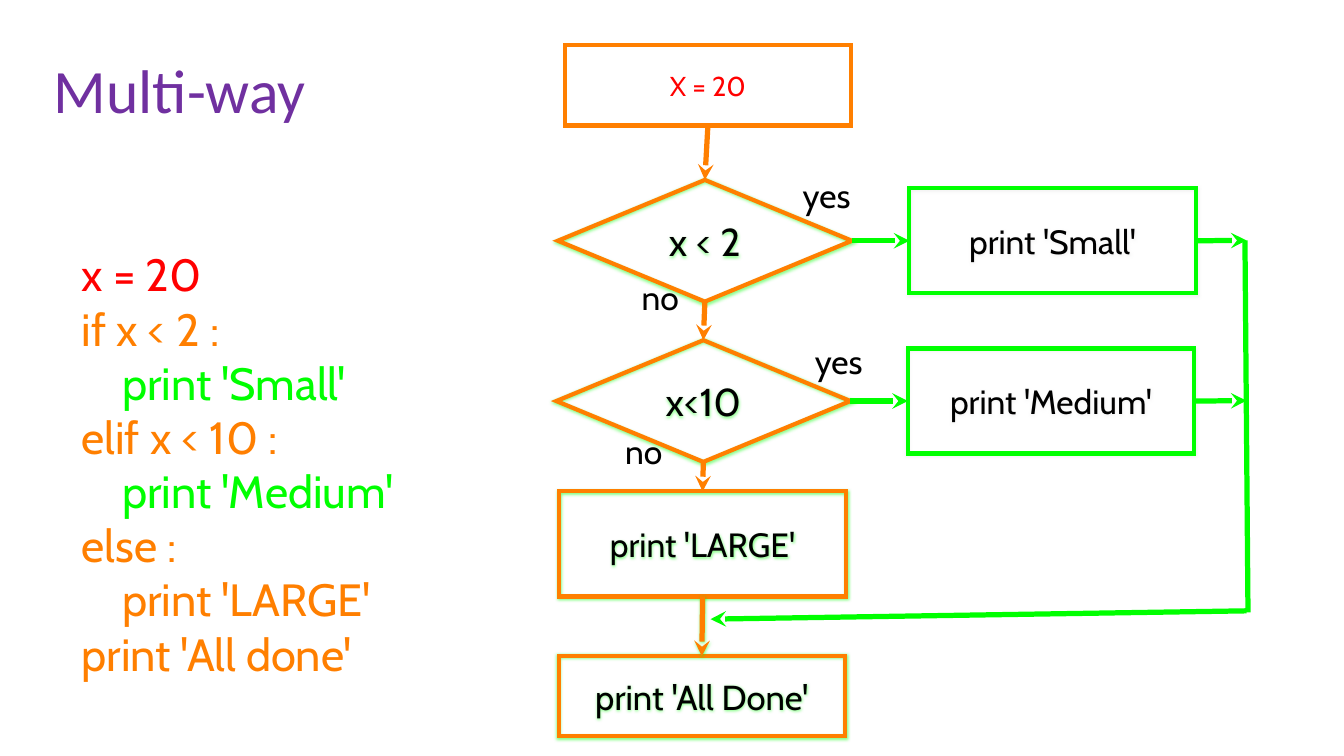
from lxml import etree
from pptx import Presentation
from pptx.dml.color import RGBColor
from pptx.enum.shapes import MSO_CONNECTOR, MSO_SHAPE
from pptx.enum.text import MSO_ANCHOR, MSO_AUTO_SIZE, PP_ALIGN
from pptx.oxml.ns import qn
from pptx.util import Inches, Pt

RECT, DIAMOND = MSO_SHAPE.RECTANGLE, MSO_SHAPE.DIAMOND
STRAIGHT = MSO_CONNECTOR.STRAIGHT
MIDDLE = MSO_ANCHOR.MIDDLE
LEFT, CENTER = PP_ALIGN.LEFT, PP_ALIGN.CENTER
GROW = MSO_AUTO_SIZE.SHAPE_TO_FIT_TEXT
TOP_SIDE, LEFT_SIDE, BOTTOM_SIDE, RIGHT_SIDE = range(4)

ORANGE, GREEN, RED = "FF7F00", "00FF00", "FF0000"
BLACK, PURPLE, GRAY = "000000", "7030A0", "E7E6E6"
CODE_FONT, TITLE_FONT = "Cabin", "Calibri"
CELLS = 93  # the flowchart box is a grid of 93 by 93 cells

CODE = [
    ("x = 20", RED),
    ("if x < 2 :", ORANGE),
    ("    print 'Small'", GREEN),
    ("elif x < 10 :", ORANGE),
    ("    print 'Medium'", GREEN),
    ("else :", ORANGE),
    ("    print 'LARGE'", ORANGE),
    ("print 'All done'", ORANGE),
]


def rgb(value):
    return RGBColor.from_string(value)


def add_run(p, text, size, color, font=CODE_FONT):
    r = p.add_run()
    r.text = text
    r.font.size, r.font.name = Pt(size), font
    r.font.color.rgb = rgb(color)


def plain_frame(sp):
    tf = sp.text_frame
    tf.vertical_anchor = MIDDLE
    tf.margin_left = tf.margin_top = tf.margin_right = tf.margin_bottom = 0
    return tf


def set_shadow(sp, color=None):
    """Replace the theme shadow by a soft one of the given colour, or by none."""
    effects = etree.SubElement(sp._element.spPr, qn("a:effectLst"))
    if color:
        shadow = etree.SubElement(effects, qn("a:outerShdw"), blurRad=str(Pt(3)),
                                  dist=str(Pt(1)), dir="5400000", rotWithShape="0")
        fill = etree.SubElement(shadow, qn("a:srgbClr"), val=color)
        etree.SubElement(fill, qn("a:alpha"), val="50000")


def add_title(slide, box, text):
    title = slide.shapes.title
    title.left, title.top, title.width, title.height = box
    tf = title.text_frame
    tf.vertical_anchor = MIDDLE
    p = tf.paragraphs[0]
    p.alignment, p.line_spacing = LEFT, 0.9
    add_run(p, text, 58.7, PURPLE, TITLE_FONT)


def add_code(slide, box):
    tf = plain_frame(slide.shapes.add_textbox(*box))
    tf.word_wrap, tf.auto_size = False, GROW
    for i, (text, color) in enumerate(CODE):
        p = tf.add_paragraph() if i else tf.paragraphs[0]
        add_run(p, text, 43, color)


def add_flowchart(slide, box):
    left, top, width, height = box

    def at(col, row):
        return left + int(width * col / CELLS), top + int(height * row / CELLS)

    def extent(cols, rows):
        return int(width * cols / CELLS), int(height * rows / CELLS)

    def node(kind, col, row, size, text, points, line=ORANGE, shadow=GREEN, color=BLACK):
        sp = slide.shapes.add_shape(kind, *at(col, row), *extent(*size))
        sp.fill.background()
        sp.line.color.rgb, sp.line.width = rgb(line), Pt(4)
        etree.SubElement(sp.line._get_or_add_ln(), qn("a:miter"), lim="800000")
        set_shadow(sp, shadow)
        p = plain_frame(sp).paragraphs[0]
        p.alignment = CENTER
        add_run(p, text, points, color)
        return sp

    def label(col, row, cols, text):
        sp = slide.shapes.add_textbox(*at(col, row), *extent(cols, 6.1))
        tf = plain_frame(sp)
        tf.word_wrap, tf.auto_size = False, GROW
        p = tf.paragraphs[0]
        p.alignment = CENTER
        add_run(p, text, 32, BLACK)

    def link(start, end, color, arrow=True, shadow=None):
        """Draw a line; each end is a (col, row) point or a (shape, side) pair."""
        ends = [at(*e) if isinstance(e[0], (int, float)) else (0, 0) for e in (start, end)]
        line = slide.shapes.add_connector(STRAIGHT, *ends[0], *ends[1])
        for e, join in ((start, line.begin_connect), (end, line.end_connect)):
            if not isinstance(e[0], (int, float)):
                join(*e)
        line.line.color.rgb, line.line.width = rgb(color), Pt(5)
        if arrow:
            etree.SubElement(line.line._get_or_add_ln(), qn("a:tailEnd"), type="stealth")
        set_shadow(line, shadow)

    flat, tall, choice = (37.9, 10.6), (37.9, 13.9), (38.9, 16.1)
    start = node(RECT, 1.7, 1, flat, "X = 20", 26, shadow=None, color=RED)
    below_2 = node(DIAMOND, 0.8, 18.8, choice, "x < 2", 37)
    below_10 = node(DIAMOND, 0.6, 40, choice, "x<10", 37)
    large = node(RECT, 1, 60, tall, "print 'LARGE'", 32)
    done = node(RECT, 0.9, 81.8, flat, "print 'All Done'", 33)
    small = node(RECT, 47.3, 19.9, tall, "print 'Small'", 32, GREEN, GRAY)
    medium = node(RECT, 47.1, 41.1, tall, "print 'Medium'", 32, GREEN, GRAY)

    main = [start, below_2, below_10, large, done]
    for upper, lower in zip(main, main[1:]):
        link((upper, BOTTOM_SIDE), (lower, TOP_SIDE), ORANGE,
             shadow=GREEN if lower is done else None)

    bus = 91.9
    for test, result, row in ((below_2, small, 26.8), (below_10, medium, 48)):
        link((test, RIGHT_SIDE), (result, LEFT_SIDE), GREEN)
        link((result, RIGHT_SIDE), (bus, row), GREEN)
    link((91.7, 26.8), (92.1, 76), GREEN, arrow=False)
    link((bus, 75.8), (21, 76.9), GREEN)

    for col, row in ((32.9, 17.7), (34.5, 39.7)):
        label(col, row, 6.9, "yes")
    for col, row in ((11.4, 31.3), (9.2, 51.6)):
        label(col, row, 5.9, "no")


def main():
    prs = Presentation()
    prs.slide_width, prs.slide_height = Inches(17.78), Inches(10)
    slide = prs.slides.add_slide(prs.slide_layouts[5])

    def inches(*box):
        return [Inches(v) for v in box]

    add_title(slide, inches(0.61, 0.33, 5.9, 1.81), "Multi-way")
    add_code(slide, inches(1.08, 3.35, 4.29, 5.56))
    add_flowchart(slide, inches(7.3, 0.5, 9.3, 9.3))
    prs.save("out.pptx")


if __name__ == "__main__":
    main()
